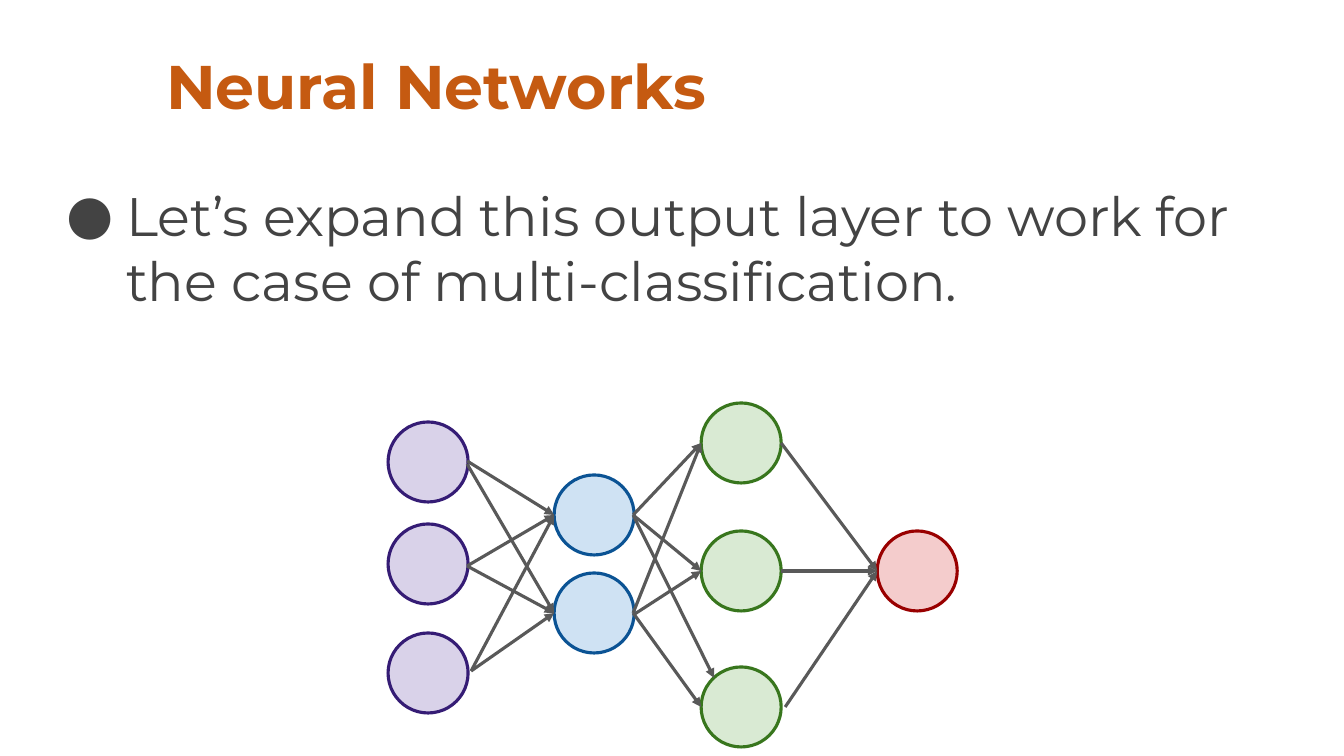
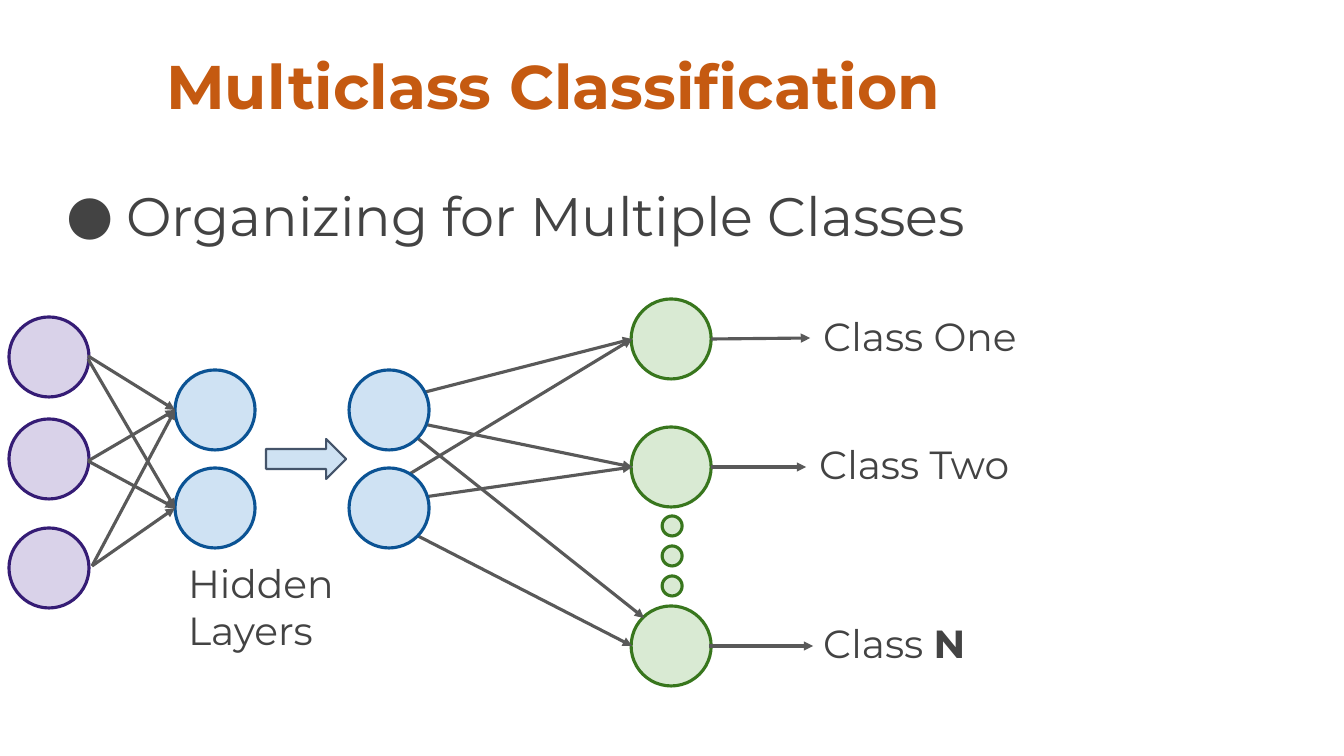
from lxml import etree
from pptx import Presentation
from pptx.dml.color import RGBColor
from pptx.enum.shapes import MSO_CONNECTOR, MSO_SHAPE
from pptx.enum.text import MSO_ANCHOR, PP_ALIGN
from pptx.oxml.ns import qn
from pptx.util import Inches, Pt

STRAIGHT = MSO_CONNECTOR.STRAIGHT
OVAL, RIGHT_ARROW = MSO_SHAPE.OVAL, MSO_SHAPE.RIGHT_ARROW
TOP, LEFT = MSO_ANCHOR.TOP, PP_ALIGN.LEFT

ORANGE = RGBColor(0xC5, 0x5A, 0x11)
TEXT_GRAY = RGBColor(0x43, 0x43, 0x43)
LINE_GRAY = RGBColor(0x59, 0x59, 0x59)
SLATE = RGBColor(0x44, 0x54, 0x6A)
LIGHT_BLUE = RGBColor(0xCF, 0xE2, 0xF3)

# Fill and outline of each kind of neuron
PURPLE = (RGBColor(0xD9, 0xD2, 0xE9), RGBColor(0x35, 0x1C, 0x75))
BLUE = (LIGHT_BLUE, RGBColor(0x0B, 0x53, 0x94))
GREEN = (RGBColor(0xD9, 0xEA, 0xD3), RGBColor(0x38, 0x76, 0x1D))
RED = (RGBColor(0xF4, 0xCC, 0xCC), RGBColor(0x99, 0x00, 0x00))

NEURON = 80
INSET = 13
PIXELS_PER_INCH = 100.8


def px(pixels):
    return Inches(pixels / PIXELS_PER_INCH)


def set_all(target, values):
    for name, value in values.items():
        setattr(target, name, value)


class SlideBuilder:
    font = "Montserrat"
    frame_format = {
        "word_wrap": True, "vertical_anchor": TOP,
        "margin_left": px(INSET), "margin_right": px(INSET),
        "margin_top": px(INSET), "margin_bottom": px(INSET),
    }

    def __init__(self):
        self.deck = Presentation()
        set_all(self.deck, {"slide_width": Inches(13.33), "slide_height": Inches(7.5)})
        self.page = None

    def new_page(self, title, bullet, bullet_height):
        self.page = self.deck.slides.add_slide(self.deck.slide_layouts[6])
        self.text(153, 43, 1145, 85, [(title, True)], 44, ORANGE, {"line_spacing": 0.9})
        para = self.text(45, 169, 1276, bullet_height, [(bullet, False)], 38.7)
        self.add_bullet(para)

    def text(self, left, top, width, height, runs, size, color=TEXT_GRAY, para_format=None):
        box = self.page.shapes.add_textbox(px(left), px(top), px(width), px(height))
        set_all(box.text_frame, self.frame_format)
        para = box.text_frame.paragraphs[0]
        set_all(para, {"alignment": LEFT, **(para_format or {})})
        for words, bold in runs:
            span = para.add_run()
            span.text = words
            set_all(span.font, {"name": self.font, "size": Pt(size), "bold": bold})
            span.font.color.rgb = color
        return para

    def add_bullet(self, para):
        properties = para._p.get_or_add_pPr()
        properties.set("marL", str(px(68)))
        properties.set("indent", str(px(-60)))
        bullet_color = etree.SubElement(properties, qn("a:buClr"))
        etree.SubElement(bullet_color, qn("a:srgbClr"), val=str(TEXT_GRAY))
        etree.SubElement(properties, qn("a:buFont"), typeface=self.font)
        etree.SubElement(properties, qn("a:buChar"), char="●")

    def label(self, left, top, *runs):
        self.text(left, top, 288, 80, runs, 28, para_format={"space_after": Pt(21.3)})

    def shape(self, kind, left, top, width, height, colors, weight=2.25):
        shape = self.page.shapes.add_shape(kind, px(left), px(top), px(width), px(height))
        shape.shadow.inherit = False
        shape.fill.solid()
        shape.fill.fore_color.rgb, shape.line.color.rgb = colors
        shape.line.width = Pt(weight)

    def neurons(self, left, tops, colors, size=NEURON):
        for top in tops:
            self.shape(OVAL, left, top, size, size, colors)

    def arrow(self, start, end):
        points = [px(value) for value in (*start, *end)]
        arrow = self.page.shapes.add_connector(STRAIGHT, *points)
        arrow.line.color.rgb = LINE_GRAY
        arrow.line.width = Pt(2.25)
        properties = arrow._element.spPr
        etree.SubElement(properties.find(qn("a:ln")), qn("a:tailEnd"), type="triangle")
        etree.SubElement(properties, qn("a:effectLst"))

    def arrows(self, pairs):
        for start, end in pairs:
            self.arrow(start, end)

    def input_block(self, left, top):
        """Three inputs fully connected to two hidden neurons."""
        hidden_left = left + 166
        hidden_tops = [top + 53, top + 151]
        self.neurons(left, [top, top + 102, top + 211], PURPLE)
        self.neurons(hidden_left, hidden_tops, BLUE)
        starts = [((79, 39), (79, 42)), ((79, 144), (79, 144)), ((83, 249), (83, 249))]
        for pair in starts:
            for (across, down), hidden_top in zip(pair, hidden_tops):
                self.arrow((left + across, top + down), (hidden_left, hidden_top + NEURON // 2))


builder = SlideBuilder()

# Slide 1: network with a single output
builder.new_page("Neural Networks",
                 "Let’s expand this output layer to work for the case of multi-classification.", 502)
builder.input_block(388, 422)
builder.neurons(701, [403, 531, 667], GREEN)
builder.neurons(877, [531], RED)

upper, lower = (633, 515), (633, 613)
first, second, third = (701, 443), (701, 571), (701, 707)
output = (877, 571)
builder.arrows([
    (upper, second), (upper, first), (upper, (714, 678)),
    ((781, 443), output), ((781, 571), output), ((785, 707), output),
    (lower, first), (lower, third), ((633, 615), second),
])

# Slide 2: one output per class
builder.new_page("Multiclass Classification", "Organizing for Multiple Classes", 106)
builder.neurons(631, [299, 427, 606], GREEN)

upper, lower = (355, 410), (355, 507)
first, second, last = (632, 339), (632, 467), (632, 646)
builder.arrows([
    (upper, second), (upper, first), ((416, 437), (644, 618)),
    ((711, 339), (810, 338)), ((711, 467), (806, 467)), ((709, 646), (813, 646)),
    (lower, first), ((416, 535), last), (lower, second),
])
builder.neurons(349, [370, 468], BLUE)
builder.input_block(9, 317)
builder.shape(RIGHT_ARROW, 266, 439, 80, 40, (LIGHT_BLUE, SLATE), 1.5)

# Ellipsis dots between the classes
builder.neurons(662, range(516, 577, 30), GREEN, 20)

# Labels
builder.label(175, 546, ("Hidden Layers", False))
builder.label(810, 299, ("Class One", False))
builder.label(806, 427, ("Class Two", False))
builder.label(810, 606, ("Class ", False), ("N", True))

builder.deck.save("out.pptx")
